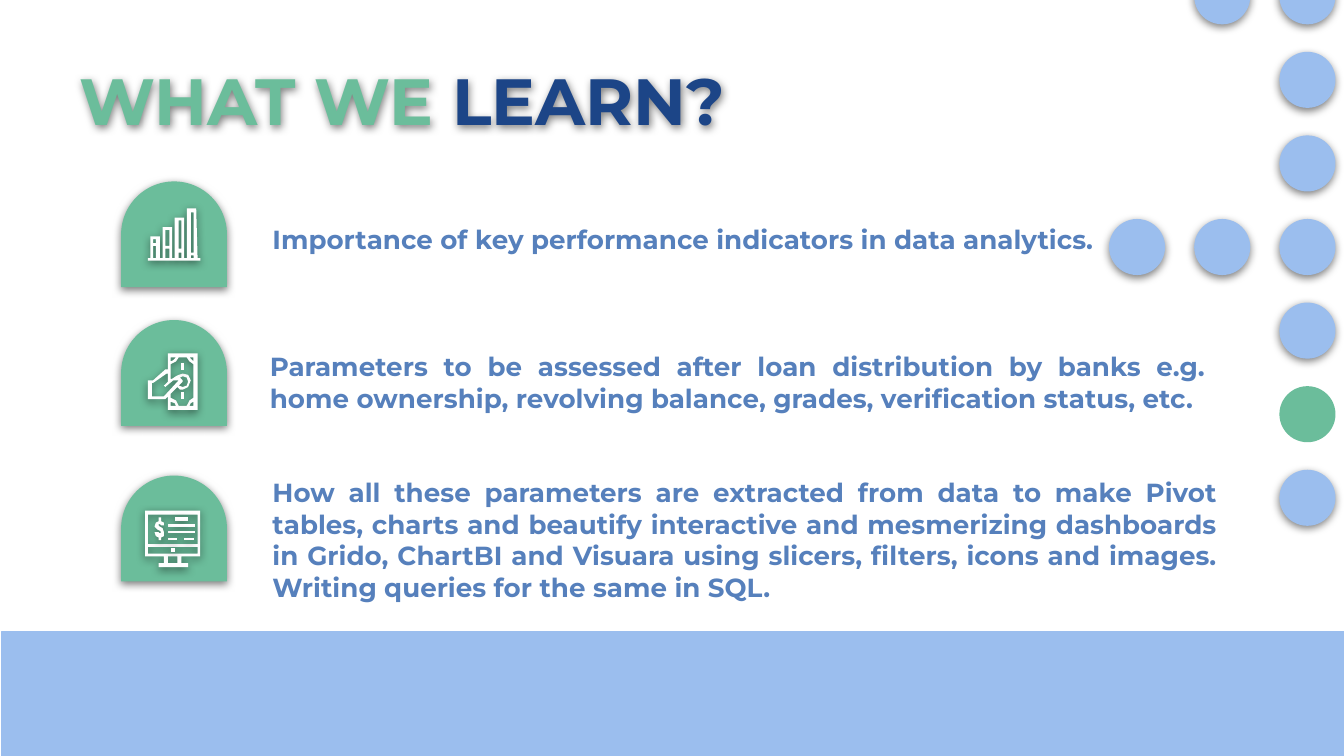
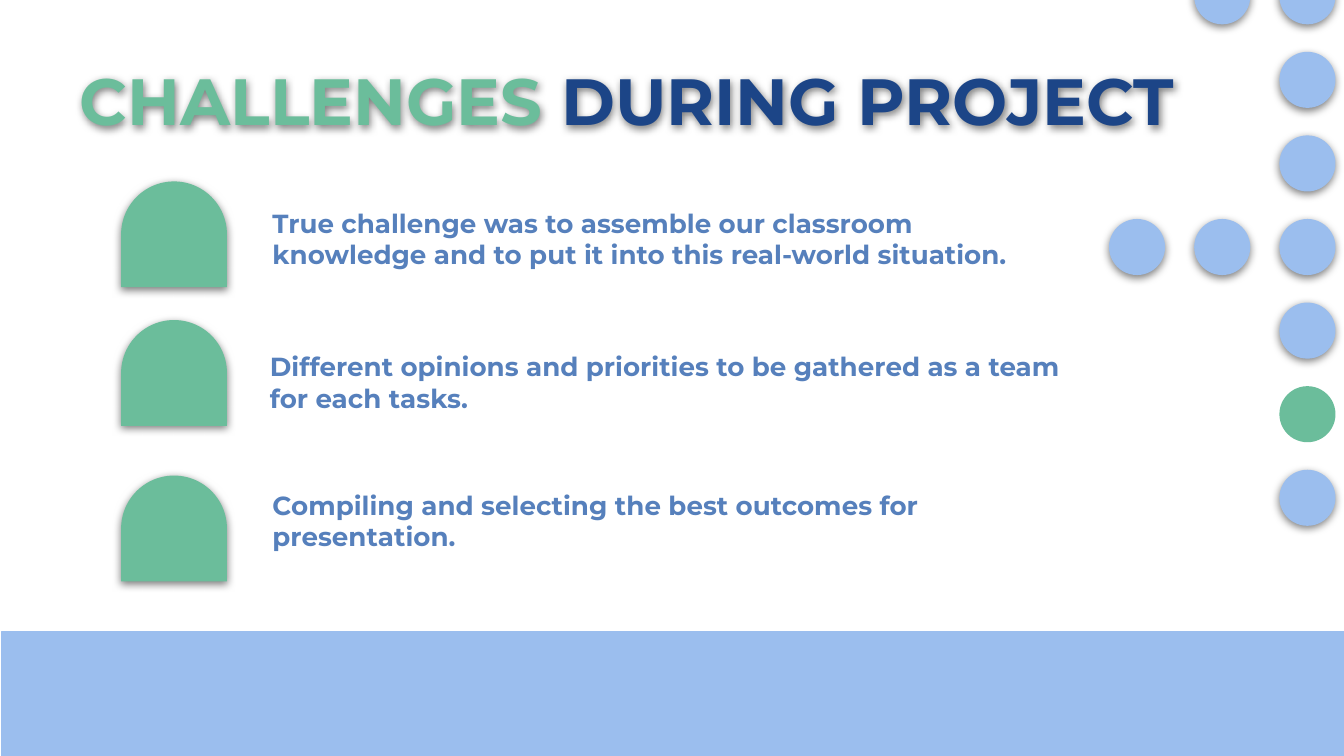
from pptx import Presentation
from pptx.dml.color import RGBColor
from pptx.enum.shapes import MSO_SHAPE as Preset
from pptx.enum.text import MSO_ANCHOR as Anchor, PP_ALIGN as Align
from pptx.oxml import parse_xml
from pptx.oxml.ns import nsdecls, qn
from pptx.util import Cm, Pt

GREEN = RGBColor(0x6B, 0xBD, 0x9B)
SKY = RGBColor(0x9B, 0xBE, 0xEE)
NAVY = RGBColor(0x1C, 0x45, 0x87)
STEEL = RGBColor(0x56, 0x80, 0xBC)
WHITE = RGBColor(0xFF, 0xFF, 0xFF)
FONT = "Montserrat"

SHADOW = (
    f'<a:outerShdw {nsdecls("a")} blurRad="57150" dist="19050" dir="5400000" '
    'algn="bl" rotWithShape="0"><a:srgbClr val="000000"><a:alpha val="50000"/>'
    "</a:srgbClr></a:outerShdw>"
)

ARCH_TOPS = [3.43, 6.05, 8.99]
ARCH_SIZE = 2.0
DOT_SIZE = 1.06
# Column (counted from the right) and row of each dot
DOTS = [(1, 3), (2, 3), (0, 0), (1, 0), (0, 1), (0, 2), (0, 3), (0, 4), (0, 6)]
ACCENT_DOT = (0, 5)

# Icons are lists of parts, parts are lists of contours, and a contour is
# either a rectangle (left, top, right, bottom) or a list of points.
ICON_UNIT = Cm(2.54) / 100

BAR_ICON = [[
    (114, 178, 116, 181), (123, 171, 126, 183), (133, 164, 135, 185), (142, 158, 144, 188),
    (114, 183, 116, 192), (123, 185, 126, 192), (133, 188, 135, 192), (142, 190, 144, 192),
    [(139, 155), (139, 192), (137, 192), (137, 162), (130, 162), (130, 192), (128, 192),
     (128, 169), (121, 169), (121, 192), (119, 192), (119, 176), (112, 176), (112, 192),
     (110, 192), (110, 194), (149, 194), (149, 192), (147, 192), (146, 155)],
]]

LOAN_ICON = [
    [
        [(131, 266), (129, 268), (127, 269), (127, 266)],
        [(144, 266), (144, 269), (141, 266)],
        [(136, 280), (139, 281), (140, 284), (139, 287), (136, 288), (133, 287),
         (136, 284), (136, 283), (134, 281)],
        [(125, 278), (125, 284), (122, 287), (123, 288), (129, 283), (133, 283),
         (122, 295), (113, 295), (113, 285), (114, 285), (124, 278)],
        [(127, 299), (130, 300), (131, 302), (127, 302)],
        [(139, 266), (141, 269), (144, 271), (144, 296), (141, 298), (139, 302),
         (133, 302), (131, 298), (127, 296), (127, 293), (132, 288), (134, 290),
         (136, 290), (140, 288), (142, 283), (140, 279), (136, 278), (133, 279),
         (131, 280), (128, 282), (127, 282), (127, 271), (131, 269), (133, 266)],
        [(144, 299), (144, 302), (141, 302), (142, 300)],
        [(125, 263), (125, 275), (123, 275), (114, 283), (110, 283), (110, 297),
         (123, 297), (125, 295), (125, 305), (147, 305), (147, 263)],
    ],
    [(135, 292, 137, 297)],
    [(135, 270, 137, 275)],
]

SCREEN_ICON = [
    [
        (110, 383, 147, 405), (110, 407, 147, 412), (125, 414, 132, 419),
        [(108, 380), (108, 414), (122, 414), (122, 419), (118, 419), (118, 422),
         (140, 422), (140, 419), (135, 419), (135, 414), (149, 414), (149, 380)],
    ],
    [(130, 385, 140, 388)],
    [(125, 390, 145, 392)],
    [(125, 395, 145, 397)],
    [(125, 400, 132, 402)],
    [(137, 400, 144, 402)],
    [[(118, 385), (118, 388), (116, 389), (115, 392), (117, 394), (119, 395), (120, 396),
      (119, 397), (118, 396), (115, 396), (116, 399), (118, 400), (118, 402), (120, 402),
      (120, 400), (122, 399), (122, 396), (121, 393), (119, 392), (118, 391), (118, 390),
      (119, 390), (120, 391), (122, 391), (122, 389), (120, 388), (120, 385)]],
    [(127, 408, 130, 411)],
]

# Title parts, title width, icons, then points as (text, left, top, width, height, alignment)
SLIDES = [
    (
        ("WHAT WE ", "LEARN?"), 13.39, [BAR_ICON, LOAN_ICON, SCREEN_ICON],
        [
            ("Importance of key performance indicators in data analytics.",
             4.9, 3.45, 19.71, 2.13, Align.LEFT),
            ("Parameters to be assessed after loan distribution by banks e.g. home "
             "ownership, revolving balance, grades, verification status, etc.",
             4.85, 6.22, 18.19, 2.0, Align.JUSTIFY),
            ("How all these parameters are extracted from data to make Pivot tables, "
             "charts and beautify interactive and mesmerizing dashboards in Grido, "
             "ChartBI and Visuara using slicers, filters, icons and images. Writing "
             "queries for the same in SQL.",
             4.9, 8.84, 18.36, 2.72, Align.JUSTIFY),
        ],
    ),
    (
        ("CHALLENGES ", "DURING PROJECT"), 21.44, [],
        [
            ("True challenge was to assemble our classroom knowledge and to put it "
             "into this real-world situation.",
             4.9, 3.45, 15.42, 2.13, Align.LEFT),
            ("Different opinions and priorities to be gathered as a team for each tasks.",
             4.85, 6.22, 15.47, 2.0, Align.LEFT),
            ("Compiling and selecting the best outcomes for presentation.",
             4.9, 8.84, 15.47, 2.0, Align.LEFT),
        ],
    ),
]


def paint(shape, colour=None, shadow=True):
    """Give a shape a plain fill (none without a colour), no outline and the soft shadow."""
    if colour is None:
        shape.fill.background()
    else:
        shape.fill.solid()
        shape.fill.fore_color.rgb = colour
    shape.line.fill.background()
    shape.shadow.inherit = False
    if shadow:
        shape._element.spPr.find(qn("a:effectLst")).append(parse_xml(SHADOW))


def add_text(slide, parts, left, top, width, height, size, align=Align.LEFT):
    """Add a one-paragraph box from (text, colour) parts."""
    box = slide.shapes.add_textbox(Cm(left), Cm(top), Cm(width), Cm(height))
    frame = box.text_frame
    frame.word_wrap = True
    frame.vertical_anchor = Anchor.MIDDLE
    frame.margin_left = frame.margin_right = Cm(0.25)
    frame.margin_top = frame.margin_bottom = Cm(0.25)
    paragraph = frame.paragraphs[0]
    paragraph.alignment = align
    paragraph.font.name = FONT
    paragraph.font.size = Pt(size)
    paragraph.font.bold = True
    for text, colour in parts:
        run = paragraph.add_run()
        run.text = text
        run.font.color.rgb = colour
    return box


prs = Presentation()
prs.slide_width, prs.slide_height = Cm(25.4), Cm(14.29)

for (opening, ending), title_width, icons, points in SLIDES:
    slide = prs.slides.add_slide(prs.slide_layouts[6])

    band = slide.shapes.add_shape(Preset.RECTANGLE, Cm(0.03), Cm(11.95), Cm(25.37), Cm(2.34))
    paint(band, SKY, shadow=False)
    band.line.color.rgb = SKY
    band.line.width = Pt(0.75)

    for top in ARCH_TOPS:
        arch = slide.shapes.add_shape(
            Preset.ROUND_2_SAME_RECTANGLE, Cm(2.29), Cm(top), Cm(ARCH_SIZE), Cm(ARCH_SIZE))
        arch.adjustments[0] = 0.5
        paint(arch, GREEN)

    title = add_text(slide, [(opening, GREEN), (ending, NAVY)], 1.26, 1.24, title_width, 1.27, 35)
    paint(title)

    for text, left, top, width, height, align in points:
        add_text(slide, [(text, STEEL)], left, top, width, height, 14, align)

    for column, row in [ACCENT_DOT] + DOTS:
        accent = (column, row) == ACCENT_DOT
        dot = slide.shapes.add_shape(
            Preset.OVAL, Cm(24.18 - 1.61 * column), Cm(-0.6 + 1.58 * row),
            Cm(DOT_SIZE), Cm(DOT_SIZE))
        paint(dot, GREEN if accent else SKY, shadow=not accent)

    for icon in icons:
        icon_group = slide.shapes.add_group_shape()
        for part in icon:
            outline = None
            for contour in part:
                if isinstance(contour, tuple):
                    x1, y1, x2, y2 = contour
                    contour = [(x1, y1), (x1, y2), (x2, y2), (x2, y1)]
                start, *rest = contour
                if outline is None:
                    outline = icon_group.shapes.build_freeform(*start, scale=ICON_UNIT)
                else:
                    outline.move_to(*start)
                outline.add_line_segments(rest, close=True)
            paint(outline.convert_to_shape(), WHITE)

prs.save("out.pptx")
